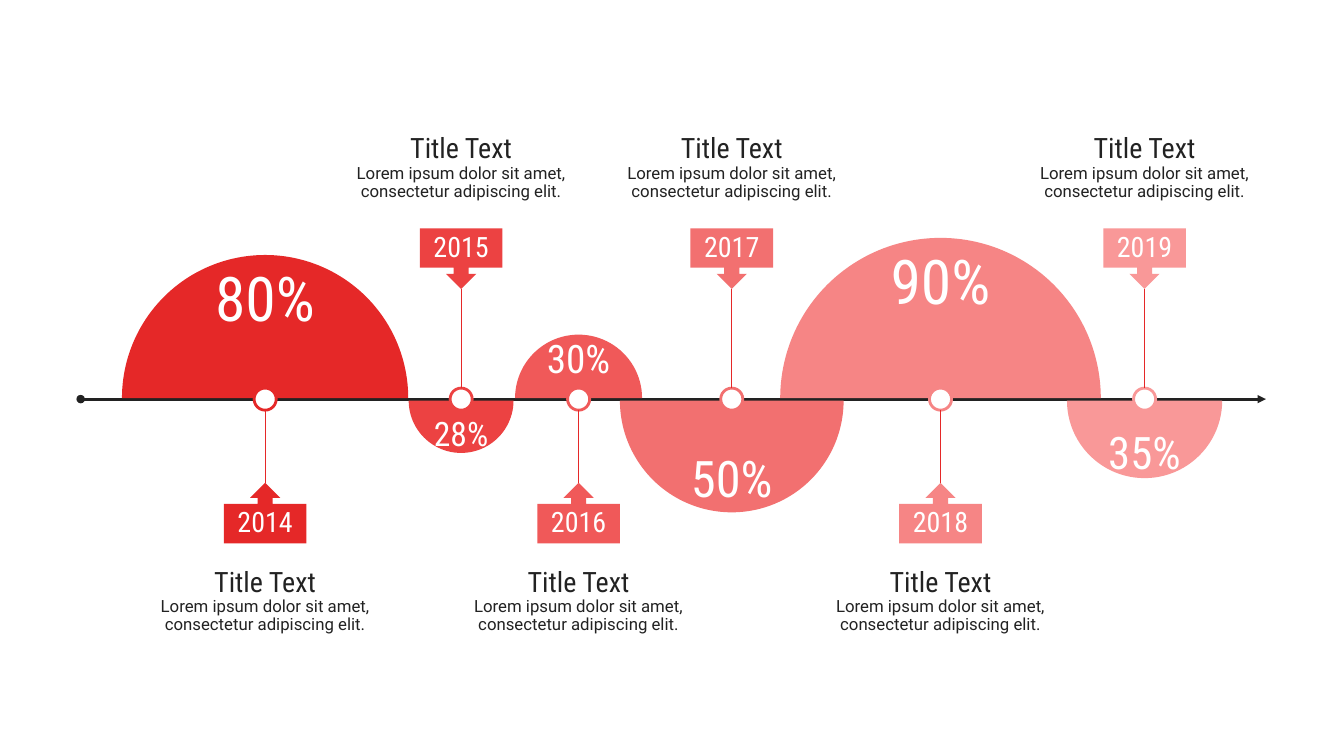
from dataclasses import dataclass

from lxml import etree
from pptx import Presentation
from pptx.dml.color import RGBColor
from pptx.enum import shapes, text
from pptx.oxml import ns
from pptx.util import Pt


@dataclass(frozen=True)
class Theme:
    ink: str = "222222"
    white: str = "FFFFFF"
    stem: str = "E52828"
    head_font: str = "Roboto Condensed"
    body_font: str = "Roboto"
    head_size: float = 20
    body_size: float = 12
    axis_width: float = 2
    stem_width: float = 0.5


AXIS_Y = 285.1
MARKER = 15.8
TAG_W, TAG_H = 59, 43.2
NOTE_W, NOTE_H = 183, 57.6
BODY = "Lorem ipsum dolor sit amet, consectetur adipiscing elit."

# Year, share, centre x, diameter, colour, share size, insets (None = default)
MILESTONES = [
    ("2014", "80%", 189.4, 204.5, "E52828", 44, None),
    ("2015", "28%", 329.4, 74.9, "EC4242", 24, (0, 57.6, 0, 0)),
    ("2016", "30%", 413.3, 90.7, "F05959", 28, (0, 0, 0, 72)),
    ("2017", "50%", 522.7, 159.8, "F27070", 36, None),
    ("2018", "90%", 671.8, 229, "F68585", 44, None),
    ("2019", "35%", 817.6, 110.9, "F99898", 32, (0, 57.6, 0, 0)),
]


class Canvas:
    def __init__(self, slide, theme):
        self.slide, self.theme = slide, theme
        self.target = slide.shapes

    def start_group(self):
        self.target = self.slide.shapes.add_group_shape().shapes

    def end_group(self):
        self.target = self.slide.shapes

    def shape(self, kind, cx, top, w, h, fill, line=None):
        sp = self.target.add_shape(kind, Pt(cx - w / 2), Pt(top), Pt(w), Pt(h))
        sp.shadow.inherit = False
        sp.fill.solid()
        sp.fill.fore_color.rgb = RGBColor.from_string(fill)
        if line:
            sp.line.color.rgb = RGBColor.from_string(line)
            sp.line.width = Pt(self.theme.axis_width)
        else:
            sp.line.fill.background()
        return sp

    def line(self, x1, y1, x2, y2, color, width):
        c = self.target.add_connector(
            shapes.MSO_CONNECTOR.STRAIGHT, Pt(x1), Pt(y1), Pt(x2), Pt(y2))
        c.line.color.rgb = RGBColor.from_string(color)
        c.line.width = Pt(width)
        etree.SubElement(c._element.spPr, ns.qn("a:effectLst"))
        return c

    def frame(self, sp, anchor, insets=None):
        tf = sp.text_frame
        tf.word_wrap = True
        tf.vertical_anchor = anchor
        if insets:
            for side, value in zip(("left", "top", "right", "bottom"), insets):
                setattr(tf, f"margin_{side}", Pt(value))
        return tf

    def label(self, p, words, size, color, font, spacing=None):
        p.alignment = text.PP_ALIGN.CENTER
        if spacing:
            p.line_spacing = spacing
        r = p.add_run()
        r.text = words
        for key, value in {"name": font, "size": Pt(size)}.items():
            setattr(r.font, key, value)
        r.font.color.rgb = RGBColor.from_string(color)

    def axis(self, x1, x2):
        c = self.line(x1, AXIS_Y, x2, AXIS_Y, self.theme.ink, self.theme.axis_width)
        ln = c._element.spPr.find(ns.qn("a:ln"))
        for end, kind in (("a:headEnd", "oval"), ("a:tailEnd", "triangle")):
            etree.SubElement(ln, ns.qn(end), type=kind)

    def half_disc(self, cx, diameter, up, fill, share, size, insets):
        centre = AXIS_Y - 0.7 if up else AXIS_Y + 1
        sp = self.shape(shapes.MSO_SHAPE.PIE, cx, centre - diameter / 2,
                        diameter, diameter, fill)
        # Adjustments are angles: 108 is 180 degrees
        sp.adjustments[0], sp.adjustments[1] = (108, 0) if up else (0, 108)
        anchor = text.MSO_ANCHOR.TOP if up else text.MSO_ANCHOR.BOTTOM
        tf = self.frame(sp, anchor, insets)
        self.label(tf.paragraphs[0], share, size, self.theme.white, self.theme.head_font)

    def year_tag(self, cx, up, fill, year):
        t = self.theme
        kind = (shapes.MSO_SHAPE.UP_ARROW_CALLOUT if up
                else shapes.MSO_SHAPE.DOWN_ARROW_CALLOUT)
        sp = self.shape(kind, cx, 344.9 if up else 163.2, TAG_W, TAG_H, fill)
        tf = self.frame(sp, text.MSO_ANCHOR.MIDDLE, (0, 0, 0, 0))
        self.label(tf.paragraphs[0], year, t.head_size, t.white, t.head_font, 0.9)
        return sp

    def stem(self, cx, up, tag):
        y = AXIS_Y + (MARKER / 2 if up else -MARKER / 2)
        c = self.line(cx, y, cx, y, self.theme.stem, self.theme.stem_width)
        c.end_connect(tag, 0 if up else 2)

    def note(self, cx, top):
        t = self.theme
        sp = self.target.add_textbox(Pt(cx - NOTE_W / 2), Pt(top), Pt(NOTE_W), Pt(NOTE_H))
        tf = self.frame(sp, text.MSO_ANCHOR.TOP)
        tf.auto_size = text.MSO_AUTO_SIZE.SHAPE_TO_FIT_TEXT
        self.label(tf.paragraphs[0], "Title Text", t.head_size, t.ink, t.head_font)
        self.label(tf.add_paragraph(), BODY, t.body_size, t.ink, t.body_font, 0.9)


def main():
    prs = Presentation()
    prs.slide_width, prs.slide_height = Pt(960), Pt(540)
    s = prs.slides.add_slide(prs.slide_layouts[6])
    theme = Theme()
    canvas = Canvas(s, theme)

    # Time axis
    canvas.axis(57.6, 904.3)

    # Milestones alternate above and below the axis
    for i, (year, share, cx, diameter, color, size, insets) in enumerate(MILESTONES):
        up = i % 2 == 0
        canvas.start_group()
        canvas.half_disc(cx, diameter, up, color, share, size, insets)
        tag = canvas.year_tag(cx, up, color, year)
        canvas.shape(shapes.MSO_SHAPE.OVAL, cx, AXIS_Y - MARKER / 2,
                     MARKER, MARKER, theme.white, color)
        canvas.stem(cx, up, tag)
        canvas.end_group()
        canvas.note(cx, 399.6 if up else 90)

    prs.save("out.pptx")


if __name__ == "__main__":
    main()
